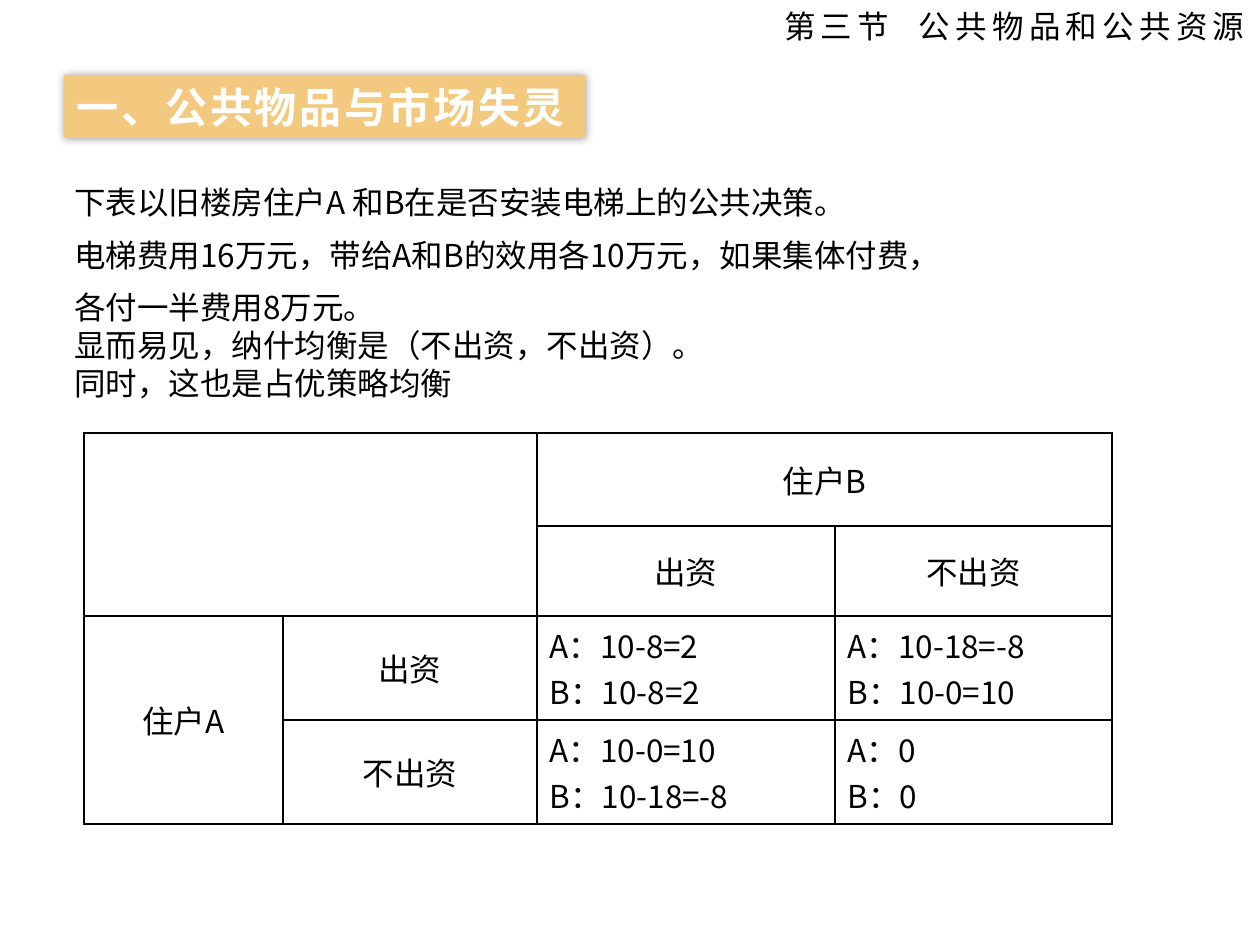
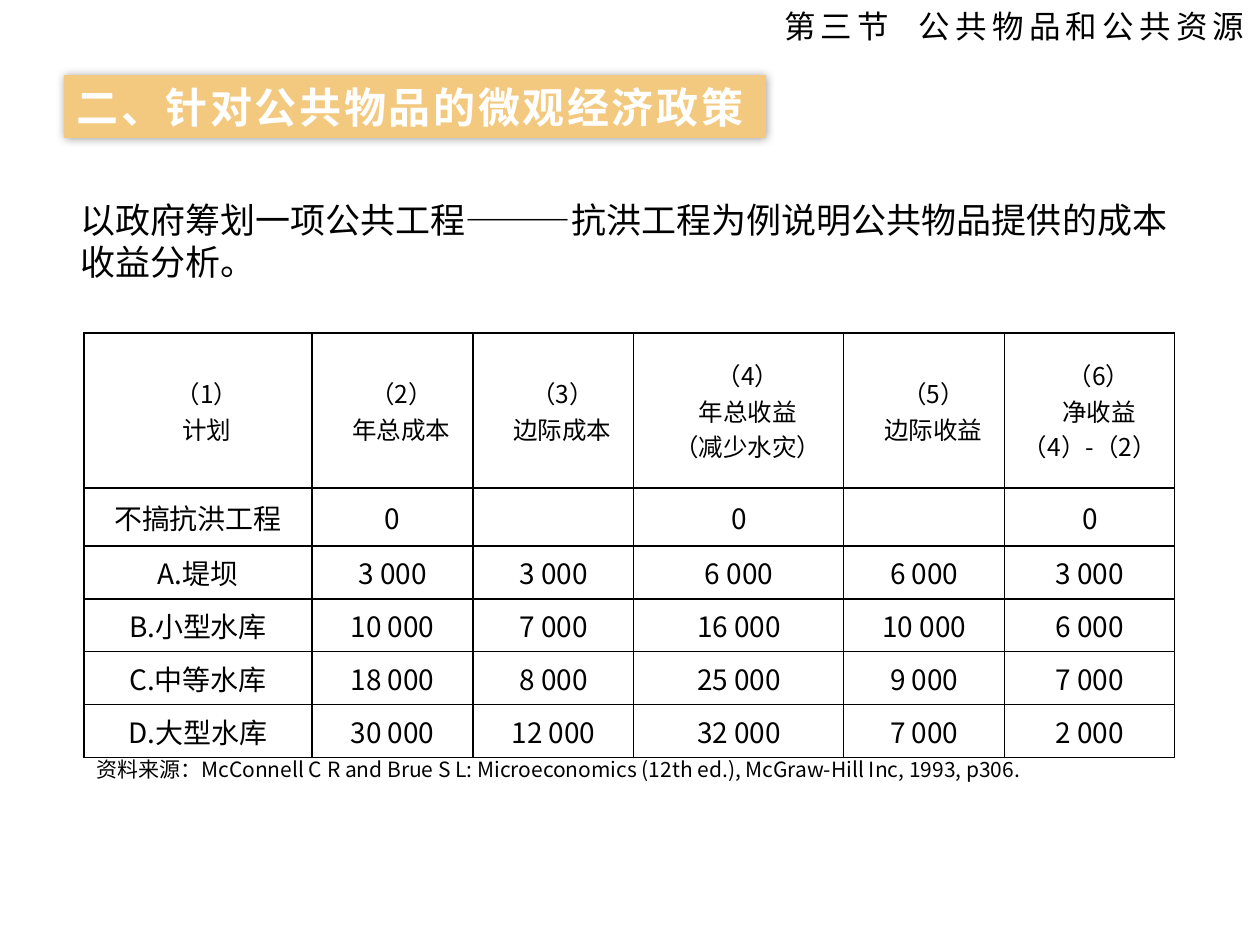
from lxml import etree
from pptx import Presentation
from pptx.dml.color import RGBColor
from pptx.enum.text import MSO_ANCHOR, MSO_AUTO_SIZE, PP_ALIGN
from pptx.oxml.ns import qn
from pptx.util import Emu, Pt

LEFT, CENTER, RIGHT = PP_ALIGN.LEFT, PP_ALIGN.CENTER, PP_ALIGN.RIGHT
TOP, MIDDLE = MSO_ANCHOR.TOP, MSO_ANCHOR.MIDDLE
NO_FIT = MSO_AUTO_SIZE.NONE
TITLE_ONLY = 5
PX_PER_INCH = 126
FONT = "Noto Sans CJK SC"
COLORS = {"text": "000000", "band": "F3C97F", "band_text": "FFFFFF", "grid": "000000"}
SECTION = "第三节  公共物品和公共资源"


def px(length):
    return Emu(round(length * 914400 / PX_PER_INCH))


def add_xml(parent, tag, **attributes):
    return etree.SubElement(parent, qn(tag), **attributes)


def write(frame, text, size=18, color="text", bold=False, align=LEFT,
          spacing=0, indent=0, leading=None):
    for number, line in enumerate(text.split("\n")):
        paragraph = frame.add_paragraph() if number else frame.paragraphs[0]
        paragraph.text = line
        paragraph.alignment = align
        if leading:
            points = leading[number] if isinstance(leading, list) else leading
            paragraph.line_spacing = Pt(points)
        if indent:
            properties = paragraph._p.get_or_add_pPr()
            properties.set("marL", "0")
            properties.set("indent", str(px(indent)))
        for run in paragraph.runs:
            run.font.size = Pt(size)
            run.font.bold = bold
            run.font.color.rgb = RGBColor.from_string(COLORS[color])
            run.font.name = FONT
            run_properties = run._r.get_or_add_rPr()
            add_xml(run_properties, "a:ea", typeface=FONT)
            if spacing:
                run_properties.set("spc", str(round(spacing * 100)))


class Lesson:
    def __init__(self):
        self.deck = Presentation()
        self.deck.slide_width, self.deck.slide_height = px(1260), px(945)
        self.slide = None

    def start(self, heading, band_width):
        self.slide = self.deck.slides.add_slide(self.deck.slide_layouts[TITLE_ONLY])
        self.band(heading, band_width)
        self.text(SECTION, 123, 9, 1134, 33, anchor=MIDDLE, align=RIGHT, spacing=3)

    def band(self, heading, width):
        title = self.slide.shapes.title
        title.left, title.top, title.width, title.height = map(px, (64, 75, width, 63))
        title.fill.solid()
        title.fill.fore_color.rgb = RGBColor.from_string(COLORS["band"])
        title.line.fill.background()
        effects = add_xml(title._element.spPr, "a:effectLst")
        shadow = add_xml(effects, "a:outerShdw", blurRad=str(Pt(5)), dist="0", dir="0")
        shade = add_xml(shadow, "a:srgbClr", val=COLORS["text"])
        add_xml(shade, "a:alpha", val="40000")
        frame = title.text_frame
        frame.auto_size = NO_FIT
        frame.word_wrap = False
        frame.vertical_anchor = MIDDLE
        frame.margin_top = frame.margin_bottom = 0
        write(frame, heading, size=24, color="band_text", bold=True, spacing=1.5)

    def text(self, words, left, top, width, height, anchor=TOP, **style):
        box = self.slide.shapes.add_textbox(*map(px, (left, top, width, height)))
        box.text_frame.word_wrap = True
        box.text_frame.vertical_anchor = anchor
        write(box.text_frame, words, **style)

    def table(self, rows, left, top, widths, heights, border, style, merges=()):
        frame = self.slide.shapes.add_table(
            len(heights), len(widths),
            *map(px, (left, top, sum(widths), sum(heights))))
        grid = frame.table
        grid.first_row = grid.horz_banding = False
        for column, width in zip(grid.columns, widths):
            column.width = px(width)
        for row, height in zip(grid.rows, heights):
            row.height = px(height)
        for first, last in merges:
            grid.cell(*first).merge(grid.cell(*last))
        for r, row in enumerate(rows):
            for c, words in enumerate(row):
                cell = grid.cell(r, c)
                cell.fill.background()
                cell.vertical_anchor = MIDDLE
                self.borders(cell, border)
                if words:
                    write(cell.text_frame, words, **style(r, c))

    def borders(self, cell, points):
        properties = cell._tc.get_or_add_tcPr()
        for place, side in enumerate("LRTB"):
            line = etree.Element(qn(f"a:ln{side}"), w=str(Pt(points)))
            fill = add_xml(line, "a:solidFill")
            add_xml(fill, "a:srgbClr", val=COLORS["grid"])
            properties.insert(place, line)


def payoff_style(row, column):
    return {"align": LEFT if row > 1 and column > 1 else CENTER}


def project_style(row, column):
    if row == 0:
        return {"size": 14, "align": CENTER, "indent": 18}
    return {"size": 16, "align": CENTER}


def main():
    lesson = Lesson()

    lesson.start("一、公共物品与市场失灵", 521)
    lesson.text(
        "下表以旧楼房住户A 和B在是否安装电梯上的公共决策。\n"
        "电梯费用16万元，带给A和B的效用各10万元，如果集体付费，\n"
        "各付一半费用8万元。\n"
        "显而易见，纳什均衡是（不出资，不出资）。\n"
        "同时，这也是占优策略均衡",
        62, 177, 994, 233, leading=[21.7, 30, 30, 21.7, 21.7])
    payoffs = [
        ["", "", "住户B", ""],
        ["", "", "出资", "不出资"],
        ["住户A", "出资", "A：10-8=2\nB：10-8=2", "A：10-18=-8\nB：10-0=10"],
        ["", "不出资", "A：10-0=10\nB：10-18=-8", "A：0\nB：0"],
    ]
    lesson.table(payoffs, 84, 433, [199, 254, 298, 277], [93, 90, 104, 104], 1,
                 payoff_style,
                 [((0, 0), (1, 1)), ((0, 2), (0, 3)), ((2, 0), (3, 0))])

    lesson.start("二、针对公共物品的微观经济政策", 702)
    lesson.text("以政府筹划一项公共工程———抗洪工程为例说明公共物品提供的成本收益分析。",
                68, 191, 1134, 97, size=20, leading=24.5)
    projects = [
        ["（1）\n计划", "（2）\n年总成本", "（3）\n边际成本",
         "（4）\n年总收益\n（减少水灾）", "（5）\n边际收益", "（6）\n净收益\v（4）-（2）"],
        ["不搞抗洪工程", "0", "", "0", "", "0"],
        ["A.堤坝", "3 000", "3 000", "6 000", "6 000", "3 000"],
        ["B.小型水库", "10 000", "7 000", "16 000", "10 000", "6 000"],
        ["C.中等水库", "18 000", "8 000", "25 000", "9 000", "7 000"],
        ["D.大型水库", "30 000", "12 000", "32 000", "7 000", "2 000"],
    ]
    lesson.table(projects, 84, 333, [228, 161, 161, 210, 161, 170],
                 [155, 58] + [53] * 4, 0.75, project_style)
    lesson.text("资料来源：McConnell C R and Brue S L: Microeconomics (12th ed.), "
                "McGraw-Hill Inc, 1993, p306.",
                84, 750, 996, 38, anchor=MIDDLE, size=12)

    lesson.deck.save("out.pptx")


if __name__ == "__main__":
    main()
